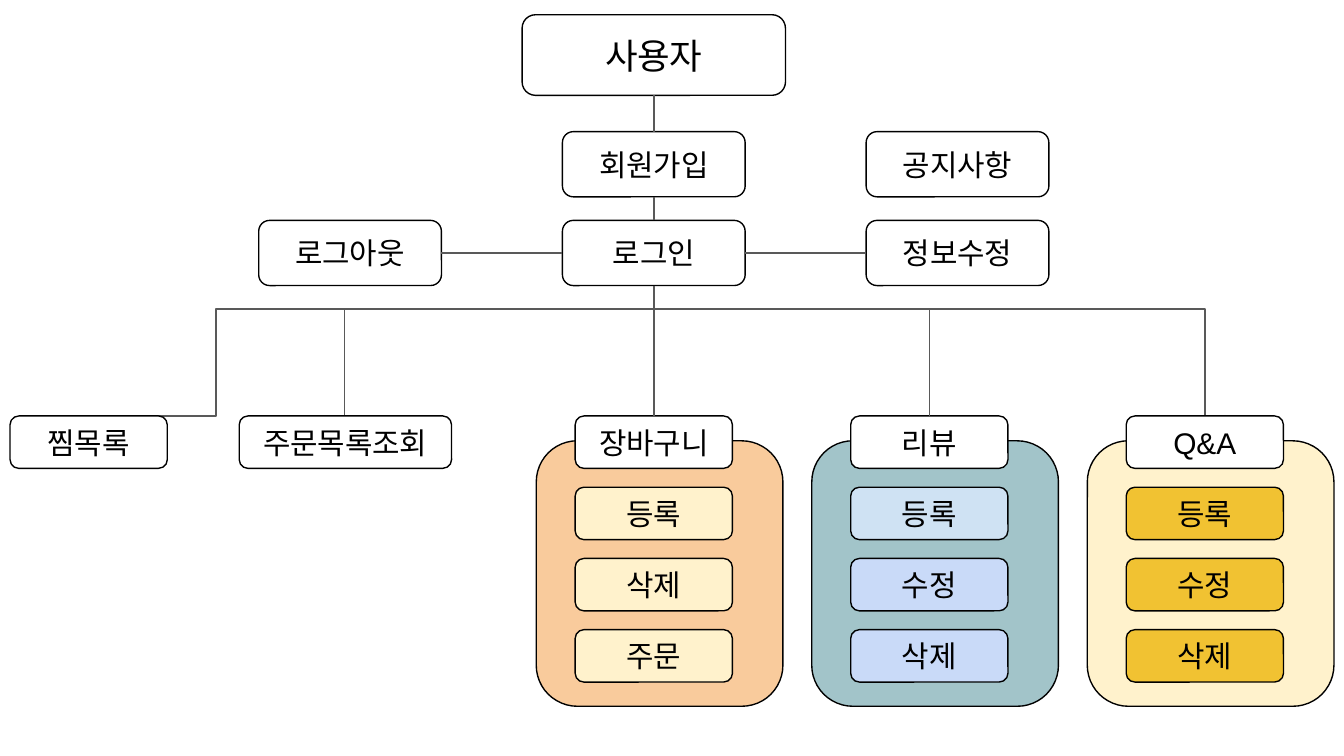
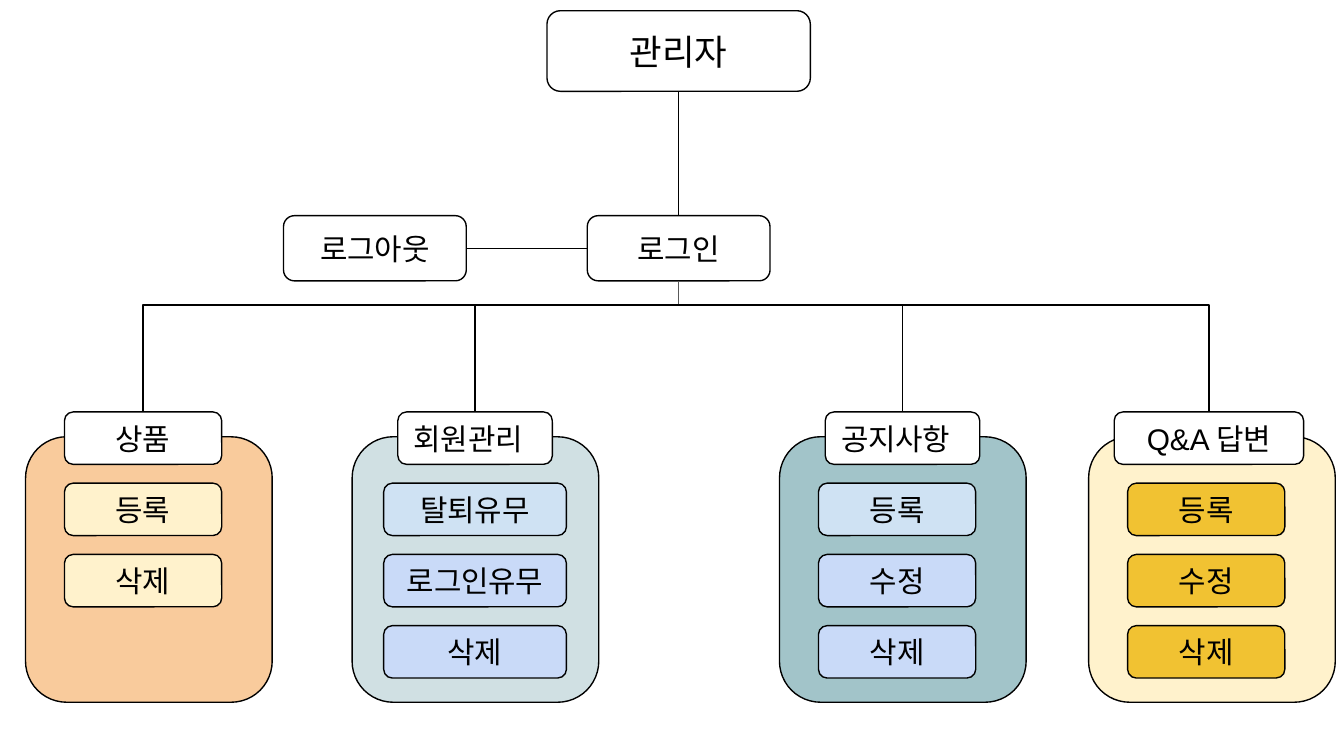
import lxml.etree
import pptx
import pptx.dml.color
import pptx.enum.shapes
import pptx.enum.text
import pptx.oxml.ns
import pptx.util

PX = 4572  # 200 px to the inch
FONT = "Arial"
HUES = {
    "black": "000000",
    "white": "FFFFFF",
    "gray": "595959",
    "peach": "F9CB9C",
    "cream": "FFF2CC",
    "teal": "A2C4C9",
    "mist": "D0E0E3",
    "sky": "CFE2F3",
    "blue": "C9DAF8",
    "gold": "F1C232",
}
BLUES = ("sky", "blue", "blue")
TOP, LEFT, BOTTOM, RIGHT = range(4)
KINDS = pptx.enum.shapes.MSO_CONNECTOR
ALIGN = pptx.enum.text.PP_ALIGN


def hue(name):
    return pptx.dml.color.RGBColor.from_string(HUES[name])


def put(shape, text, size=16, align=ALIGN.CENTER, color="black"):
    """Write one formatted line of text into a shape."""
    frame = shape.text_frame
    frame.word_wrap = True
    frame.vertical_anchor = pptx.enum.text.MSO_ANCHOR.MIDDLE
    frame.margin_left = frame.margin_right = 20 * PX
    frame.margin_top = frame.margin_bottom = 20 * PX
    para = frame.paragraphs[0]
    para.alignment = align
    run = para.add_run()
    run.text = text
    run.font.size = pptx.util.Pt(size)
    run.font.color.rgb = hue(color)
    run.font.name = FONT
    props = run.font._element
    for tag in ("a:ea", "a:cs"):
        lxml.etree.SubElement(props, pptx.oxml.ns.qn(tag), typeface=FONT)


class Chart:
    """Holds the deck, the current slide and the style of its elements."""

    def __init__(self):
        self.deck = pptx.Presentation()
        self.deck.slide_width = 2000 * PX
        self.deck.slide_height = 1125 * PX
        self.wire = "gray"

    def page(self, wire):
        """Start a slide whose connectors take the given colour."""
        self.slide = self.deck.slides.add_slide(self.deck.slide_layouts[6])
        self.wire = wire

    def box(self, x, y, w, h, text="", fill="white", **form):
        kind = pptx.enum.shapes.MSO_SHAPE.ROUNDED_RECTANGLE
        shape = self.slide.shapes.add_shape(kind, x * PX, y * PX, w * PX, h * PX)
        shape.shadow.inherit = False
        shape.fill.solid()
        shape.fill.fore_color.rgb = hue(fill)
        shape.line.color.rgb = hue("black")
        shape.line.width = pptx.util.Pt(0.75)
        if text:
            put(shape, text, **form)
        return shape

    def root(self, x, y, text):
        return self.box(x, y, 392, 120, text, size=19)

    def step(self, x, y, text):
        return self.box(x, y, 272, 97, text)

    def item(self, x, y, text, w=234, **form):
        return self.box(x, y, w, 78, text, **form)

    def card(self, x, y, title, names, fill, tints, head=(58, 234),
             body=(58, 234), align=ALIGN.CENTER):
        """Draw a panel with a title tab at y; head and body are (inset, width)."""
        self.box(x, y + 37, 367, 395, fill=fill)
        tab = self.item(x + head[0], y, title, head[1], align=align)
        for row, (name, tint) in enumerate(zip(names, tints), 1):
            self.item(x + body[0], y + 106 * row, name, body[1], fill=tint)
        return tab

    def line(self, start, end, kind=KINDS.STRAIGHT, color=None):
        ends = [n * PX for n in (*start, *end)]
        wire = self.slide.shapes.add_connector(kind, *ends)
        wire.line.color.rgb = hue(color or self.wire)
        wire.line.width = pptx.util.Pt(0.75)
        props = wire.element.spPr
        lxml.etree.SubElement(props, pptx.oxml.ns.qn("a:effectLst"))
        return wire

    def bend(self, start, end):
        """Run level from start, then turn once towards end."""
        wire = self.line(start, end, KINDS.ELBOW)
        wire.element.spPr.prstGeom.set("prst", "bentConnector2")

    def link(self, first, out, last, into):
        wire = self.line((0, 0), (0, 0))
        wire.begin_connect(first, out)
        wire.end_connect(last, into)

    def drop(self, start, last):
        """Join a point to the top of a box."""
        self.line(start, start).end_connect(last, TOP)

    def rise(self, start, last):
        """Join a point to the bottom of a box."""
        self.line(start, start, color="gray").end_connect(last, BOTTOM)


def user(chart):
    chart.page("gray")
    root = chart.root(777, 22, "사용자")
    join = chart.step(837, 196, "회원가입")
    login = chart.step(837, 328, "로그인")
    logout = chart.step(385, 328, "로그아웃")
    edit = chart.step(1289, 328, "정보수정")
    chart.step(1289, 196, "공지사항")
    chart.link(login, TOP, join, BOTTOM)
    chart.link(edit, LEFT, login, RIGHT)
    chart.link(login, LEFT, logout, RIGHT)
    chart.link(root, BOTTOM, join, TOP)

    bar, top = 460, 619
    chart.bend((888, bar), (1793, top))
    chart.bend((973, bar), (513, top))
    chart.line((513, bar), (130, top), KINDS.ELBOW)
    cards = (
        ("장바구니", ("등록", "삭제", "주문"), "peach", ["cream"] * 3),
        ("리뷰", ("등록", "수정", "삭제"), "teal", BLUES),
        ("Q&A", ("등록", "수정", "삭제"), "cream", ["gold"] * 3),
    )
    cart, review, _ = [chart.card(798 + 410 * col, top, *rest)
                       for col, rest in enumerate(cards)]
    chart.rise((973, bar), login)
    chart.link(login, BOTTOM, cart, TOP)
    chart.drop((1383, bar), review)
    chart.item(356, top, "주문목록조회", 316)
    chart.item(15, top, "찜목록")


def admin(chart):
    chart.page("black")
    root = chart.root(814, 16, "관리자")
    login = chart.step(874, 321, "로그인")
    logout = chart.step(422, 321, "로그아웃")
    chart.link(login, LEFT, logout, RIGHT)
    chart.link(root, BOTTOM, login, TOP)

    bar, top = 454, 613
    chart.rise((1010, bar), login)
    for start, end in ((1090, 707), (1442, 213), (1010, 1799)):
        chart.bend((start, bar), (end, top))
    tab = {"head": (68, 230), "align": ALIGN.LEFT}
    chart.card(38, top, "상품", ("등록", "삭제"), "peach", ["cream"] * 2)
    chart.card(524, top, "회원관리", ("탈퇴유무", "로그인유무", "삭제"),
               "mist", BLUES, body=(47, 272), **tab)
    news = chart.card(1160, top, "공지사항", ("등록", "수정", "삭제"),
                      "teal", BLUES, **tab)
    chart.card(1620, top, "Q&A 답변", ("등록", "수정", "삭제"),
               "cream", ["gold"] * 3, head=(38, 282))
    chart.drop((1343, bar), news)


def main():
    chart = Chart()
    user(chart)
    admin(chart)
    chart.deck.save("out.pptx")


if __name__ == "__main__":
    main()
